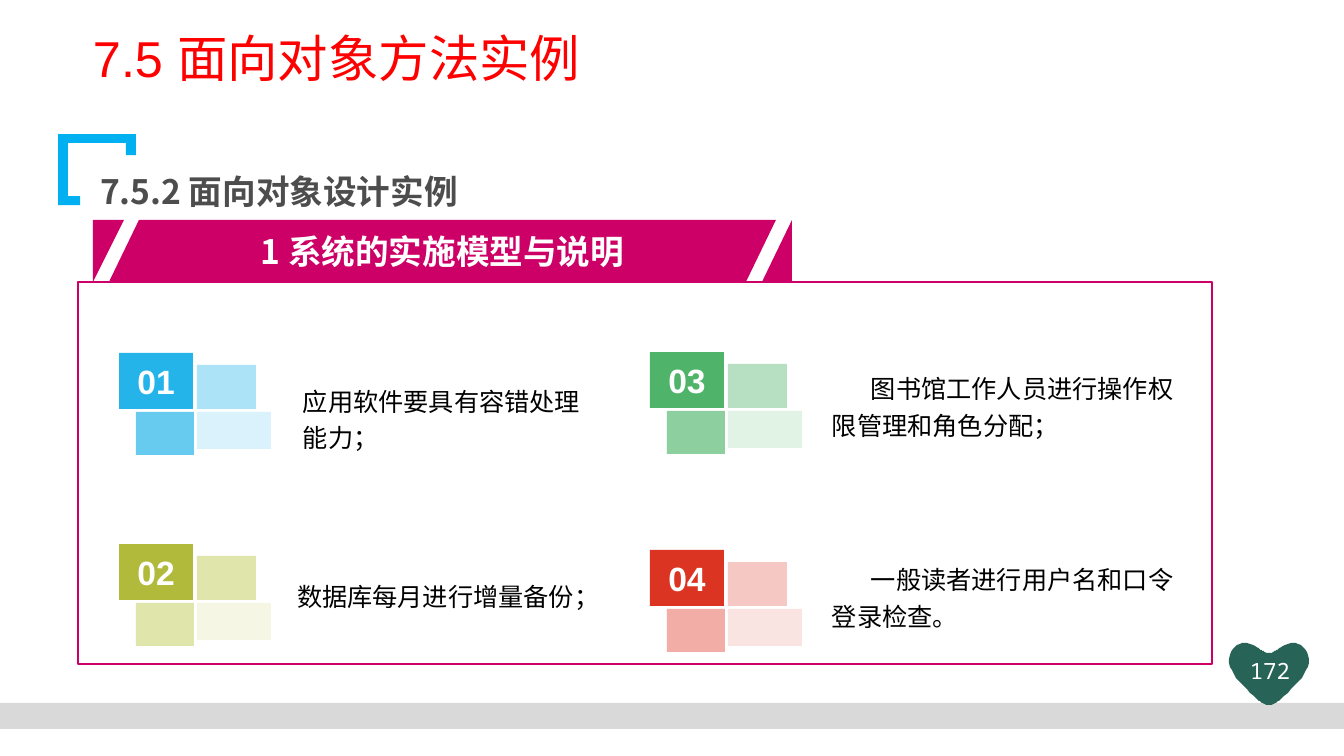
from dataclasses import dataclass

from pptx import Presentation
from pptx import util as u
from pptx.dml.color import RGBColor
from pptx.enum import lang, shapes, text
from pptx.oxml import ns

PX = 914400 / 100.8


@dataclass(frozen=True)
class Theme:
    sans: str = "Arial"
    cjk: str = "Noto Sans CJK SC"
    mono: str = "Noto Sans Mono"
    title: str = "FF0000"
    heading: str = "4D4D4D"
    body: str = "000000"
    white: str = "FFFFFF"
    accent: str = "CC0066"
    bracket: str = "00B0F0"
    bar: str = "D9D9D9"
    heart: str = "276357"
    title_pt: int = 36
    head_pt: int = 24
    body_pt: int = 18
    page_pt: int = 16


T = Theme()

TITLE = "7.5 面向对象方法实例"
HEADING = "7.5.2 面向对象设计实例"
BANNER = "1 系统的实施模型与说明"
PAGE = "172"

ITEMS = [
    dict(no="01", at=(119, 353), colors=("25B4E9", "ACE3F6", "67CBEF", "D9F2FB"),
         box=(303, 378, 282, 77), indent=0, spacing=1.2,
         words="应用软件要具有容错处理能力；"),
    dict(no="03", at=(650, 352), colors=("4FB469", "B6E0C1", "8DCF9E", "E1F3E5"),
         box=(832, 364, 362, 80), indent=39, spacing=1.2,
         words="图书馆工作人员进行操作权限管理和角色分配；"),
    dict(no="02", at=(119, 544), colors=("B1BA3A", "E0E5AB", "E0E5AB", "F5F6E3"),
         box=(297, 551, 316, 90), indent=0, spacing=1.0,
         words="数据库每月进行增量备份；"),
    dict(no="04", at=(650, 550), colors=("DC3422", "F6C8C3", "F1ADA6", "FAE4E1"),
         box=(832, 550, 363, 90), indent=39, spacing=1.2,
         words="一般读者进行用户名和口令登录检查。"),
]

TILES = [(0, 0, 74, 56), (78, 12, 59, 44), (17, 59, 58, 43), (78, 59, 74, 37)]

BRACKET = [[(58, 134), (136, 134), (136, 155), (126, 155), (126, 143),
            (68, 143), (68, 196), (80, 196), (80, 205), (58, 205)]]

RIBBON = [
    [(93, 220), (124, 220), (93, 282)],
    [(139, 220), (776, 220), (746, 282), (109, 282)],
    [(792, 220), (792, 282), (762, 282)],
]

HEART_AXIS = 1269
HEART_CURVES = [
    [(1269, 653), (1271, 653), (1273, 653), (1275, 651)],
    [(1275, 651), (1277, 650), (1278, 649), (1280, 648)],
    [(1280, 648), (1290, 641), (1303, 640), (1308, 655)],
    [(1308, 655), (1313, 671), (1295, 685), (1280, 700)],
    [(1280, 700), (1276, 703), (1273, 705), (1269, 705)],
]


def px(*values):
    return [u.Emu(round(v * PX)) for v in values]


def paint(sp, fill=None, line=None):
    sp.shadow.inherit = False
    if fill:
        sp.fill.solid()
        sp.fill.fore_color.rgb = RGBColor.from_string(fill)
    else:
        sp.fill.background()
    if line:
        sp.line.color.rgb = RGBColor.from_string(line)
        sp.line.width = u.Pt(1)
    else:
        sp.line.fill.background()
    return sp


def write(sp, words, size, color, font=T.cjk, bold=False, align="LEFT",
          anchor="MIDDLE", spacing=1.0, indent=0, inset=(10, 5)):
    tf = sp.text_frame
    tf.word_wrap = True
    tf.auto_size = text.MSO_AUTO_SIZE.NONE
    tf.vertical_anchor = getattr(text.MSO_ANCHOR, anchor)
    tf.margin_left, tf.margin_top = px(*inset)
    tf.margin_right, tf.margin_bottom = px(*inset)
    p = tf.paragraphs[0]
    p.alignment = getattr(text.PP_ALIGN, align)
    p.line_spacing = spacing
    if indent:
        p._p.get_or_add_pPr().set("indent", str(px(indent)[0]))
    r = p.add_run()
    r.text = words
    f = r.font
    f.name, f.size, f.bold = font, u.Pt(size), bold
    f.color.rgb = RGBColor.from_string(color)
    f.language_id = lang.MSO_LANGUAGE_ID.SIMPLIFIED_CHINESE
    latin = r._r.rPr.find(ns.qn("a:latin"))
    ea = latin.makeelement(ns.qn("a:ea"), {"typeface": T.cjk})
    latin.addnext(ea)


def rect(s, box, **colors):
    sp = s.shapes.add_shape(shapes.MSO_SHAPE.RECTANGLE, *px(*box))
    return paint(sp, **colors)


def outline(s, contours, fill):
    fb = s.shapes.build_freeform(*contours[0][0], scale=PX)
    for i, points in enumerate(contours):
        if i:
            fb.move_to(*points[0])
        fb.add_line_segments(points[1:], close=True)
    return paint(fb.convert_to_shape(), fill)


def curve(points, steps=12):
    a, b, c, d = points
    for i in range(1, steps + 1):
        t = i / steps
        yield tuple((1 - t) ** 3 * a[k] + 3 * t * (1 - t) ** 2 * b[k]
                    + 3 * t * t * (1 - t) * c[k] + t ** 3 * d[k]
                    for k in (0, 1))


def heart_points():
    right = [HEART_CURVES[0][0]]
    for points in HEART_CURVES:
        right.extend(curve(points))
    left = [(2 * HEART_AXIS - x, y) for x, y in reversed(right[1:-1])]
    return right + left


def add_item(s, item):
    x, y = item["at"]
    tiles = [rect(s, (x + dx, y + dy, w, h), fill=color)
             for (dx, dy, w, h), color in zip(TILES, item["colors"])]
    write(tiles[0], item["no"], T.head_pt, T.white, font=T.sans, bold=True,
          align="CENTER")
    write(s.shapes.add_textbox(*px(*item["box"])), item["words"], T.body_pt,
          T.body, spacing=item["spacing"], indent=item["indent"], inset=(0, 0))


def main():
    prs = Presentation()
    prs.slide_width, prs.slide_height = px(1344, 756)
    s = prs.slides.add_slide(prs.slide_layouts[5])

    outline(s, BRACKET, T.bracket)
    rect(s, (0, 703, 1344, 26), fill=T.bar)
    outline(s, [heart_points()], T.heart)
    write(s.shapes.add_textbox(*px(1235, 652, 70, 39)), PAGE, T.page_pt,
          T.white, font=T.mono, align="CENTER", anchor="TOP")

    title = s.shapes.title
    title.left, title.top, title.width, title.height = px(83, 29, 927, 95)
    write(title, TITLE, T.title_pt, T.title, font=T.sans, anchor="TOP",
          spacing=0.9)
    write(s.shapes.add_textbox(*px(90, 154, 637, 62)), HEADING, T.head_pt,
          T.heading, bold=True, anchor="TOP", spacing=1.3)

    for item in ITEMS:
        add_item(s, item)

    rect(s, (78, 282, 1134, 382), line=T.accent)
    write(outline(s, RIBBON, T.accent), BANNER, T.head_pt, T.white, bold=True,
          align="CENTER")
    prs.save("out.pptx")


if __name__ == "__main__":
    main()
